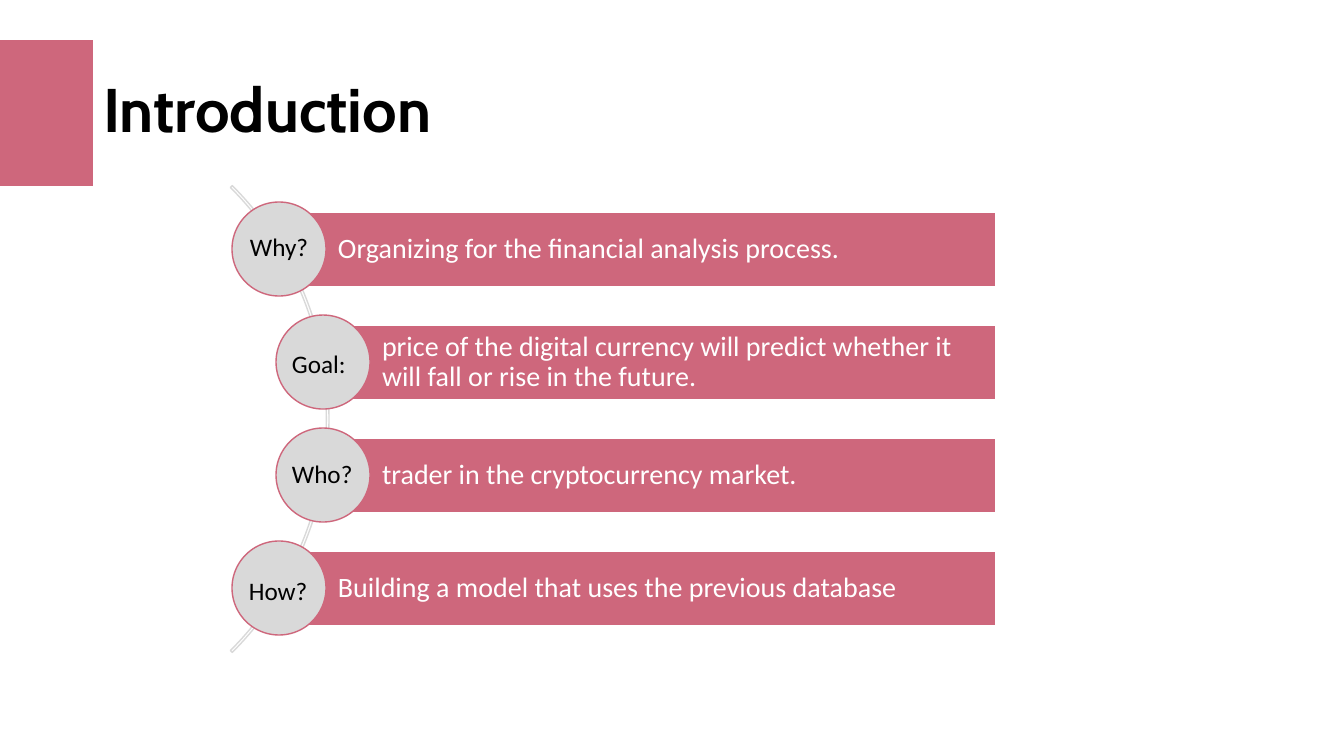
from pptx import Presentation
from pptx.dml.color import RGBColor
from pptx.enum.shapes import MSO_SHAPE
from pptx.enum.text import MSO_ANCHOR, MSO_AUTO_SIZE, PP_ALIGN
from pptx.util import Emu, Pt

ROSE = RGBColor(0xCE, 0x67, 0x7C)
GREY = RGBColor(0xD9, 0xD9, 0xD9)
WHITE = RGBColor(0xFF, 0xFF, 0xFF)
BLACK = RGBColor(0x00, 0x00, 0x00)


def px(*lengths):
    return [Emu(round(length * 914400 / 100.8)) for length in lengths]


def add_shape(kind, box, fill, line):
    shape = slide.shapes.add_shape(kind, *px(*box))
    shape.shadow.inherit = False
    if fill is None:
        shape.fill.background()
    else:
        shape.fill.solid()
        shape.fill.fore_color.rgb = fill
    if line is None:
        shape.line.fill.background()
    else:
        shape.line.color.rgb = line
        shape.line.width = Pt(1)
    return shape


presentation = Presentation()
presentation.slide_width, presentation.slide_height = px(1344, 756)
slide = presentation.slides.add_slide(presentation.slide_layouts[5])

# Title with its side block
title = slide.shapes.title
title.left, title.top, title.width, title.height = px(93, 40, 1159, 146)
title.text_frame.text = "Introduction"
title.text_frame.vertical_anchor = MSO_ANCHOR.MIDDLE
paragraph = title.text_frame.paragraphs[0]
paragraph.alignment = PP_ALIGN.LEFT
paragraph.line_spacing = 0.9
font = paragraph.runs[0].font
font.name, font.size, font.bold = "Cabin", Pt(44), True
font.color.rgb = BLACK
add_shape(MSO_SHAPE.RECTANGLE, (0, 40, 93, 146), ROSE, None)

# Curve behind the circles, from 315 to 45 degrees
arc = add_shape(MSO_SHAPE.BLOCK_ARC, (-331, 89, 660, 660), None, GREY)
for index, value in enumerate((189, 27, 0.004)):
    arc.adjustments[index] = value

# Bars and circles: bar left, statement, label, label box
ROWS = [
    (279, "Organizing for the financial analysis process.",
     "Why?", (240, 226, 80, 72)),
    (323, "price of the digital currency will predict whether it will fall "
          "or rise in the future.",
     "Goal:", (282, 343, 75, 72)),
    (323, "trader in the cryptocurrency market.",
     "Who?", (282, 453, 82, 72)),
    (279, "Building a model that uses the previous database",
     "How?", (239, 570, 80, 72)),
]
BAR_RIGHT, BAR_HEIGHT, CIRCLE, FIRST_TOP, STEP = 996, 75, 94, 212, 113

for row, (left, statement, label, label_box) in enumerate(ROWS):
    top = FIRST_TOP + row * STEP
    bar = add_shape(MSO_SHAPE.RECTANGLE,
                    (left, top, BAR_RIGHT - left, BAR_HEIGHT), ROSE, WHITE)
    frame = bar.text_frame
    frame.word_wrap = True
    frame.vertical_anchor = MSO_ANCHOR.MIDDLE
    (frame.margin_left, frame.margin_top,
     frame.margin_right, frame.margin_bottom) = px(59, 6, 6, 6)
    frame.text = statement
    paragraph = frame.paragraphs[0]
    paragraph.alignment = PP_ALIGN.LEFT
    paragraph.line_spacing = 0.9
    font = paragraph.runs[0].font
    font.name, font.size = "Calibri", Pt(20)
    font.color.rgb = WHITE

    circle_top = top + (BAR_HEIGHT - CIRCLE) // 2
    add_shape(MSO_SHAPE.OVAL,
              (left - CIRCLE // 2, circle_top, CIRCLE, CIRCLE), GREY, ROSE)

    # Label on the circle
    frame = slide.shapes.add_textbox(*px(*label_box)).text_frame
    frame.word_wrap = False
    frame.auto_size = MSO_AUTO_SIZE.SHAPE_TO_FIT_TEXT
    frame.text = label
    font = frame.paragraphs[0].runs[0].font
    font.name, font.size = "Calibri", Pt(18)
    font.color.rgb = BLACK

presentation.save("out.pptx")
